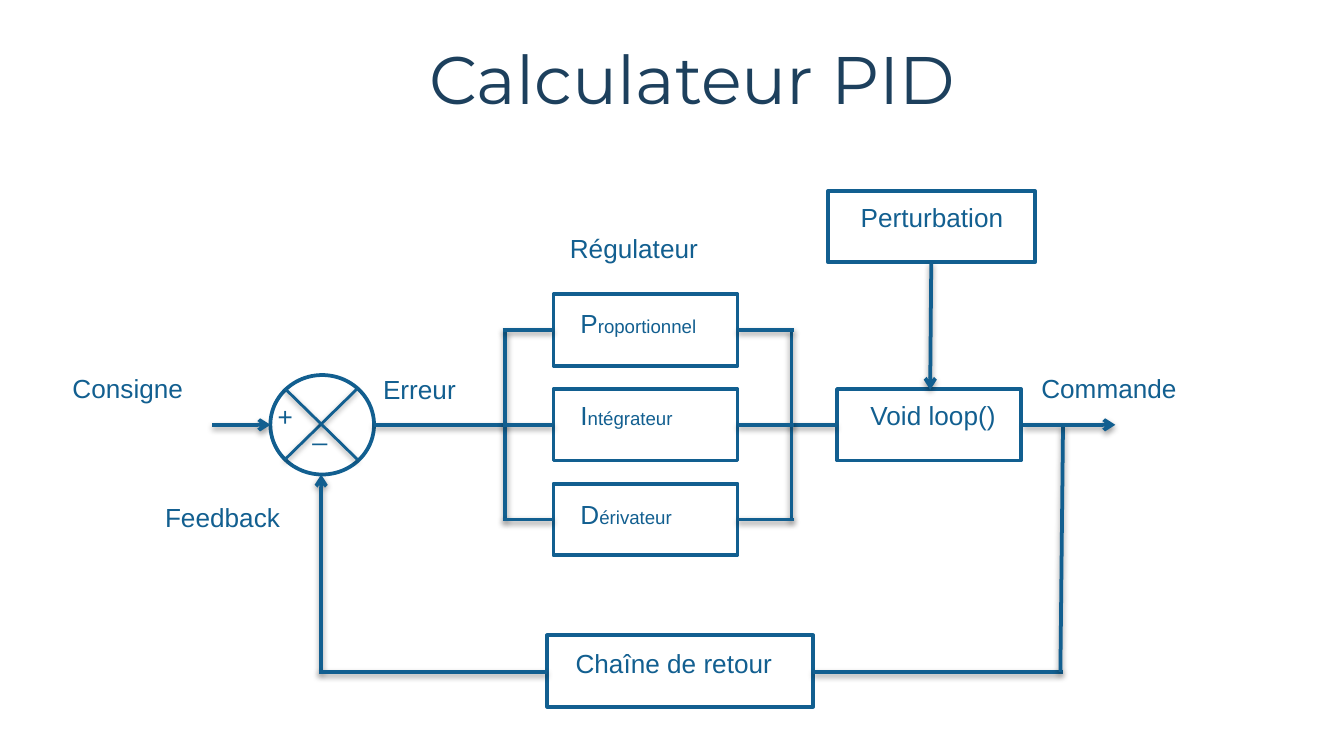
"""Build a slide with the block diagram of a PID control loop."""
from lxml import etree
from pptx import Presentation
from pptx.dml.color import RGBColor
from pptx.enum.shapes import MSO_CONNECTOR, MSO_SHAPE
from pptx.enum.text import MSO_ANCHOR, MSO_AUTO_SIZE, PP_ALIGN
from pptx.oxml import parse_xml
from pptx.oxml.ns import qn
from pptx.util import Cm, Pt

STRAIGHT = MSO_CONNECTOR.STRAIGHT
RECT, OVAL = MSO_SHAPE.RECTANGLE, MSO_SHAPE.OVAL
LEFT, MID = PP_ALIGN.LEFT, PP_ALIGN.CENTER
GROW, FIXED = MSO_AUTO_SIZE.SHAPE_TO_FIT_TEXT, MSO_AUTO_SIZE.NONE
TOP = MSO_ANCHOR.TOP
BLUE, NAVY, WHITE = "125F90", "1D405D", "FFFFFF"
SHADE = (
    '<a:effectLst xmlns:a="http://schemas.openxmlformats.org/drawingml/2006/main">'
    '<a:outerShdw blurRad="40000" dist="20000" dir="5400000" rotWithShape="0">'
    '<a:srgbClr val="000000"><a:alpha val="38000"/></a:srgbClr>'
    '</a:outerShdw></a:effectLst>'
)


def hue(code):
    return RGBColor.from_string(code)


def write(left, top, width, height, runs, align, frame, face, color):
    box = slide.shapes.add_textbox(Cm(left), Cm(top), Cm(width), Cm(height))
    for key, value in frame.items():
        setattr(box.text_frame, key, value)
    para = box.text_frame.paragraphs[0]
    para.alignment = align
    for text, size in runs:
        run = para.add_run()
        run.text = text
        for key, value in {"name": face, "size": Pt(size)}.items():
            setattr(run.font, key, value)
        run.font.color.rgb = hue(color)
    return para


deck = Presentation()
deck.slide_width, deck.slide_height = Cm(25.4), Cm(14.29)
slide = deck.slides.add_slide(deck.slide_layouts[6])

STEP, TALL, WIDE = 1.79, 1.35, 3.48
AXIS, BACK = 8.03, 12.7
ROWS = [AXIS + n * STEP for n in (-1, 0, 1)]
SPLIT, JOIN, TERM = 9.55, 14.96, 10.46
LOOP = 15.82

blocks = [
    (OVAL, 5.11, 7.09, 1.96, 1.88),
    (RECT, LOOP, AXIS - TALL / 2, WIDE, TALL),
    (RECT, 10.34, 12.01, 5.03, TALL),
    (RECT, 15.65, 3.61, 3.91, TALL),
]
blocks += [(RECT, TERM, row - TALL / 2, WIDE, TALL) for row in ROWS]
for kind, left, top, width, height in blocks:
    block = slide.shapes.add_shape(kind, Cm(left), Cm(top), Cm(width), Cm(height))
    block.shadow.inherit = False
    block.fill.solid()
    block.fill.fore_color.rgb = hue(WHITE)
    block.line.color.rgb = hue(BLUE)
    block.line.width = Pt(2)

wires = [
    (4.01, AXIS, 5.11, AXIS, 2, True),
    (6.07, BACK, 6.07, 8.97, 2, True),
    (6.02, BACK, 10.34, BACK, 2, False),
    (15.37, BACK, 20.09, BACK, 2, False),
    (20.09, AXIS, 20.04, BACK, 2, False),
    (7.06, AXIS, SPLIT, AXIS, 2, False),
    (JOIN, AXIS, LOOP, AXIS, 2, False),
    (19.33, AXIS, 21.08, AXIS, 2, True),
    (17.6, 4.95, 17.58, 7.37, 2, True),
    (6.76, 7.34, 5.38, 8.69, 1.5, False),
    (5.38, 7.34, 6.76, 8.69, 1.5, False),
]
wires += [(x, ROWS[0], x, ROWS[-1], 2, False) for x in (SPLIT, JOIN)]
for row in ROWS:
    wires.append((SPLIT - 0.05, row, TERM, row, 2, False))
    wires.append((TERM + WIDE, row, JOIN + 0.05, row, 2, False))
for x, y, end, foot, weight, arrow in wires:
    wire = slide.shapes.add_connector(STRAIGHT, Cm(x), Cm(y), Cm(end), Cm(foot))
    wire.line.color.rgb = hue(BLUE)
    wire.line.width = Pt(weight)
    if arrow:
        etree.SubElement(wire.line._get_or_add_ln(), qn("a:tailEnd"), type="arrow")
    wire._element.spPr.append(parse_xml(SHADE))

tight = {"word_wrap": False, "auto_size": GROW}
wrap = {"word_wrap": True, "auto_size": GROW}
labels = [
    (5, 7.44, 0.81, [("+", 14)], LEFT, tight),
    (5.66, 7.7, 0.79, [("_", 14)], LEFT, tight),
    (1.12, 6.91, 2.62, [("Consigne", 14)], LEFT, tight),
    (2.87, 9.35, 2.72, [("Feedback", 14)], LEFT, tight),
    (6.99, 6.93, 1.91, [("Erreur", 14)], LEFT, tight),
    (10.52, 4.27, 2.97, [("Régulateur", 14)], LEFT, tight),
    (19.43, 6.91, 3.1, [("Commande", 14)], LEFT, tight),
    (10.72, 5.69, 2.72, [("P", 14), ("roportionnel", 10)], LEFT, tight),
    (10.72, 7.42, 2.29, [("I", 14), ("ntégrateur", 10)], LEFT, tight),
    (10.72, 9.3, 2.26, [("D", 14), ("érivateur", 10)], LEFT, tight),
    (16.15, 7.42, 2.97, [("Void loop()", 14)], MID, tight),
    (10.29, 12.12, 5.03, [("Chaîne de retour ", 14)], MID, wrap),
    (16, 3.68, 3.23, [("Perturbation", 14)], MID, tight),
]
for left, top, width, runs, align, frame in labels:
    write(left, top, width, 0.86, runs, align, frame, "Arial", BLUE)

still = {"word_wrap": True, "auto_size": FIXED, "vertical_anchor": TOP}
title = write(1.65, -0.18, 22.86, 3.18, [("Calculateur PID", 36)], MID, still,
              "Montserrat", NAVY)
title.line_spacing = 1.5

deck.save("out.pptx")
